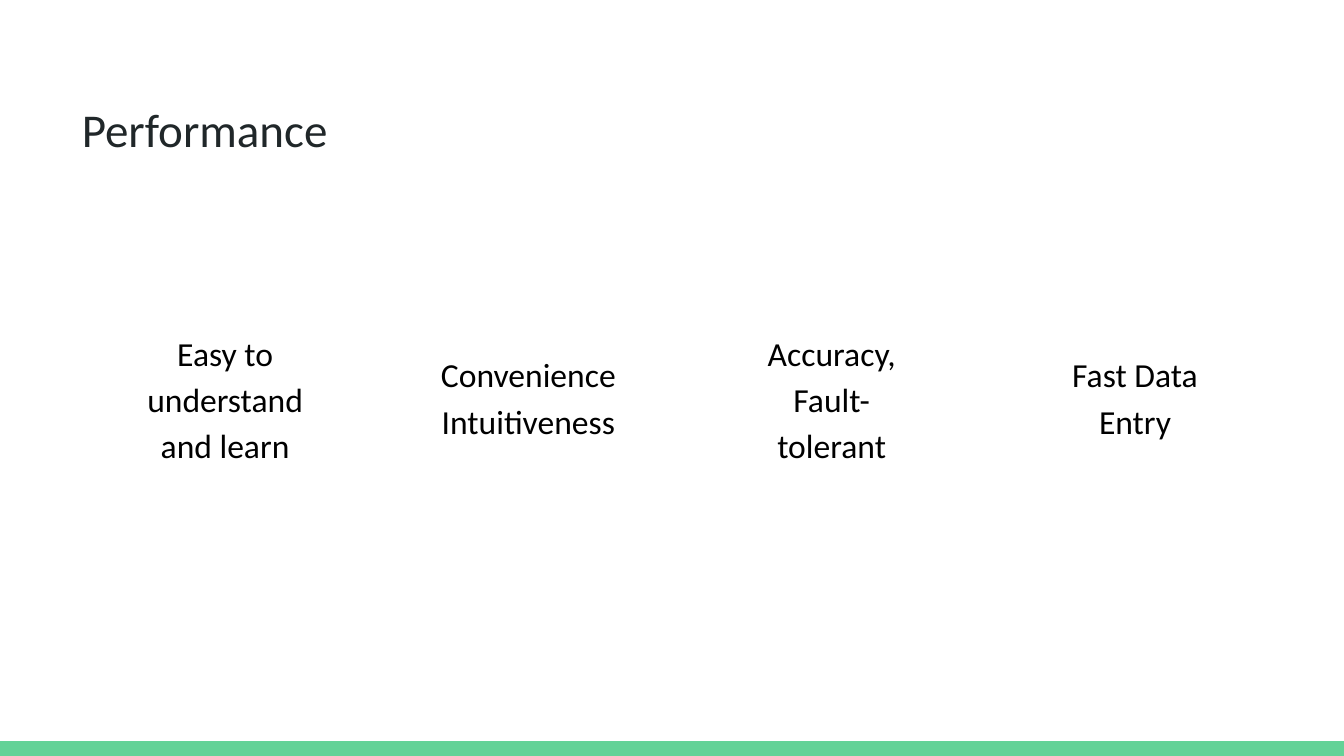
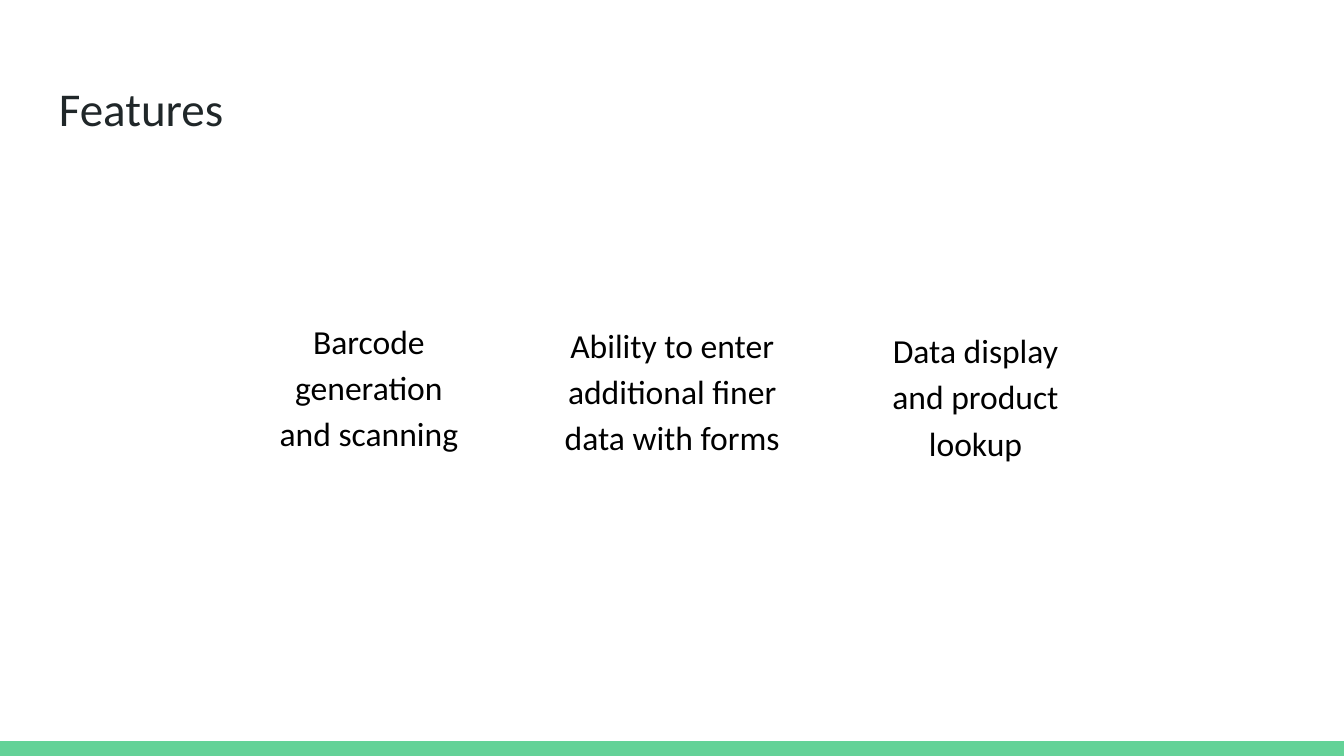
import pptx
import pptx.dml.color
import pptx.enum.shapes
import pptx.enum.text
import pptx.oxml
import pptx.util
from pptx.util import Inches

FONT = "Calibri"
WHITE = "FFFFFF"
GREEN = "63D297"
TITLE_COLOR = "202729"
BODY_COLOR = "000000"
PAGE_WIDTH = 10
PAGE_HEIGHT = PAGE_WIDTH * 9 / 16
BAND_HEIGHT = 0.11
CIRCLE_TOP, CIRCLE_WIDTH, CIRCLE_HEIGHT = 1.9, 2.13, 2
CIRCLE_PITCH = 6.77 / 3
OPACITY = 85


def color(hex_string):
    return pptx.dml.color.RGBColor.from_string(hex_string)


def fill_with(shape, hex_string, opacity=100):
    shape.fill.solid()
    shape.fill.fore_color.rgb = color(hex_string)
    if opacity < 100:
        swatch = shape.fill._xPr.find(".//" + pptx.oxml.ns.qn("a:srgbClr"))
        alpha = pptx.oxml.xmlchemy.OxmlElement("a:alpha")
        alpha.set("val", str(opacity * 1000))
        swatch.append(alpha)


def add_preset(page, kind, left, top, width, height, fill, opacity=100):
    shape = page.shapes.add_shape(kind, Inches(left), Inches(top), Inches(width), Inches(height))
    shape.shadow.inherit = False
    fill_with(shape, fill, opacity)
    return shape


def add_text(page, text, left, top, width, height, size, hex_string):
    box = page.shapes.add_textbox(Inches(left), Inches(top), Inches(width), Inches(height))
    frame = box.text_frame
    frame.word_wrap = True
    frame.margin_left = frame.margin_right = Inches(0.1)
    frame.margin_top = frame.margin_bottom = Inches(0.1)
    frame.text = text
    for span in frame.paragraphs[0].runs:
        span.font.name = FONT
        span.font.size = pptx.util.Pt(size)
        span.font.color.rgb = color(hex_string)
    return box


def add_band(page):
    band = add_preset(page, pptx.enum.shapes.MSO_SHAPE.RECTANGLE, 0, PAGE_HEIGHT - BAND_HEIGHT,
                      PAGE_WIDTH, BAND_HEIGHT, GREEN)
    band.line.fill.background()


def add_title(page, text, left, top):
    box = add_text(page, text, left, top, 9.32, 0.63, 25.2, TITLE_COLOR)
    fill_with(box, WHITE, OPACITY)


def add_circle(page, left):
    circle = add_preset(page, pptx.enum.shapes.MSO_SHAPE.OVAL, left, CIRCLE_TOP,
                        CIRCLE_WIDTH, CIRCLE_HEIGHT, WHITE, OPACITY)
    circle.line.color.rgb = color(WHITE)
    circle.line.width = pptx.util.Pt(0.75)


def add_label(page, text, center, top, width, height):
    box = add_text(page, text, center - width / 2, top, width, height, 18, BODY_COLOR)
    paragraph = box.text_frame.paragraphs[0]
    paragraph.alignment = pptx.enum.text.PP_ALIGN.CENTER
    paragraph.line_spacing = 1.15


def add_topic_page(deck, title, title_place, first_left, labels):
    page = deck.slides.add_slide(deck.slide_layouts[6])
    add_band(page)
    lefts = [first_left + index * CIRCLE_PITCH for index in range(len(labels))]
    for left in lefts:
        add_circle(page, left)
    for left, (text, top, width, height) in zip(lefts, labels):
        add_label(page, text, left + CIRCLE_WIDTH / 2, top, width, height)
    add_title(page, title, *title_place)


def main():
    deck = pptx.Presentation()
    deck.slide_width = Inches(PAGE_WIDTH)
    deck.slide_height = Inches(PAGE_HEIGHT)
    add_topic_page(deck, "Performance", (0.51, 0.65), 0.61, [
        ("Easy to understand and learn", 2.33, 1.55, 0.88),
        ("Convenience Intuitiveness", 2.49, 1.77, 0.82),
        ("Accuracy, Fault-\vtolerant", 2.33, 1.55, 0.58),
        ("Fast Data Entry", 2.49, 1.55, 0.82),
    ])
    add_topic_page(deck, "Features", (0.34, 0.49), 1.68, [
        ("Barcode generation\vand scanning", 2.24, 1.95, 0.88),
        ("Ability to enter additional finer data with forms", 2.27, 1.95, 0.82),
        ("Data display and product lookup", 2.31, 1.55, 0.58),
    ])
    deck.save("out.pptx")


if __name__ == "__main__":
    main()
